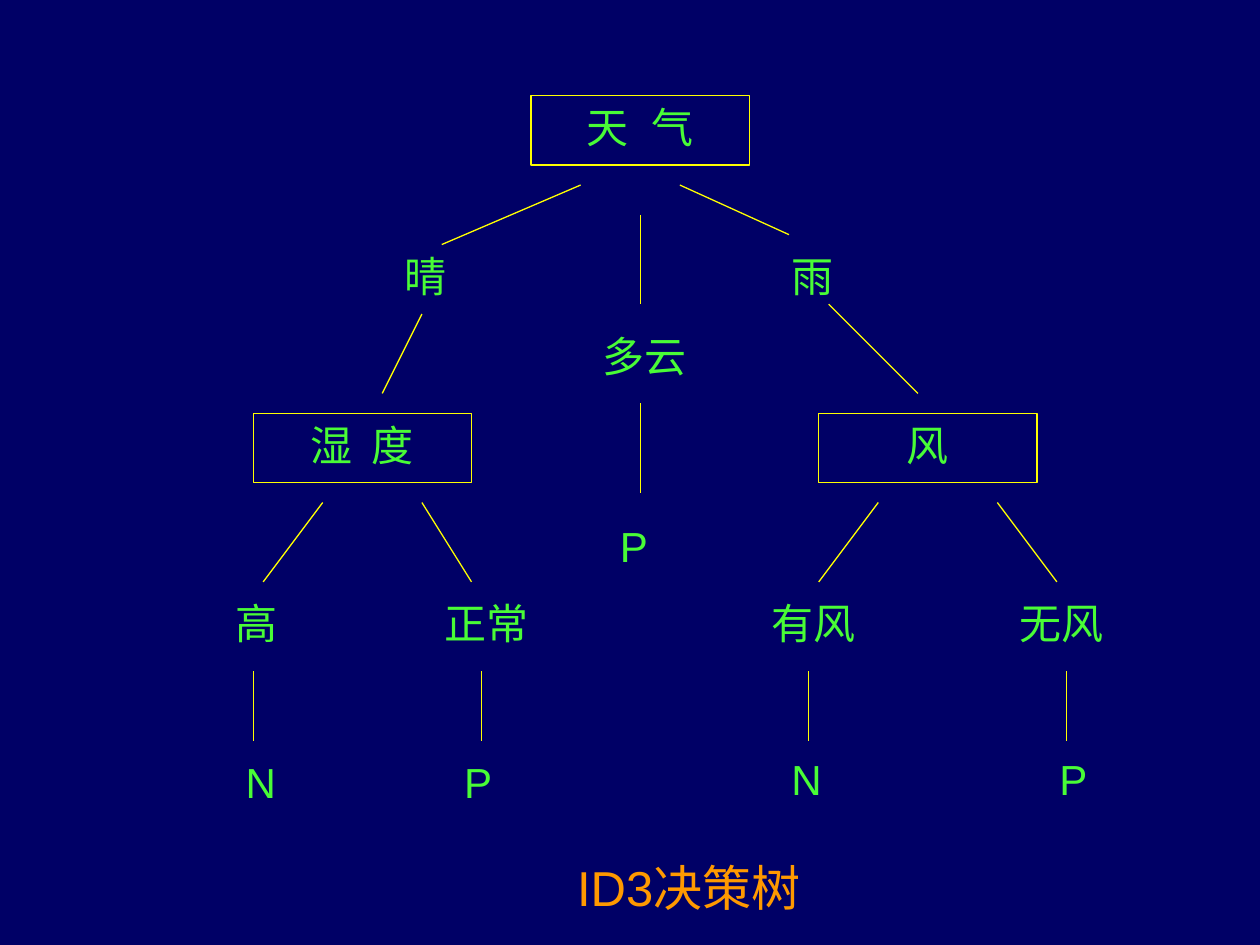
import pptx
import pptx.dml.color
import pptx.enum.shapes
import pptx.enum.text
import pptx.oxml.ns
import pptx.util
from lxml import etree

NAVY = pptx.dml.color.RGBColor(0x00, 0x00, 0x66)
YELLOW = pptx.dml.color.RGBColor(0xFF, 0xFF, 0x00)
GREEN = pptx.dml.color.RGBColor(0x49, 0xFC, 0x36)
ORANGE = pptx.dml.color.RGBColor(0xFF, 0x99, 0x00)

UNIT = pptx.util.Cm(0.2)
LEFT, TOP = pptx.util.Inches(2.01), pptx.util.Inches(0.76)
WIDE, HIGH = 22, 7
SANS, HAN = "Arial", "Noto Sans CJK SC"
LEAVES = {"N": 0.44, "P": 0.42}


def spot(col, row):
    """Turn a grid column and row into a slide position."""
    return round(LEFT + col * UNIT), round(TOP + row * UNIT)


def write(frame, text, size=24, color=GREEN, font=SANS):
    """Fill a text frame with one styled line."""
    frame.text = text
    para = frame.paragraphs[0]
    para.space_before = pptx.util.Pt(size / 10 if font == SANS else 0)
    run = para.runs[0]
    run.font.size = pptx.util.Pt(size)
    run.font.color.rgb = color
    run.font.name = font
    east = etree.SubElement(run.font._element, pptx.oxml.ns.qn("a:ea"))
    east.set("typeface", font)
    return para


def label(slide, text, col, row, wide=None, high=0.5, **style):
    """Place a line of text, as wide as its words unless told otherwise."""
    wide = wide or LEAVES.get(text, 0.2 + len(text) * 0.34)
    size = pptx.util.Inches(wide), pptx.util.Inches(high)
    box = slide.shapes.add_textbox(*spot(col, row), *size)
    box.text_frame.word_wrap = False
    write(box.text_frame, text, **style)


def link(slide, start, end):
    """Draw a thin line between two grid points."""
    kind = pptx.enum.shapes.MSO_CONNECTOR.STRAIGHT
    line = slide.shapes.add_connector(kind, *spot(*start), *spot(*end))
    line.line.color.rgb = YELLOW
    line.line.width = pptx.util.Pt(0.75)
    etree.SubElement(line._element.spPr, pptx.oxml.ns.qn("a:effectLst"))


def node(slide, text, col, row, font=SANS):
    """Draw a framed attribute of the tree."""
    kind = pptx.enum.shapes.MSO_SHAPE.RECTANGLE
    box = slide.shapes.add_shape(kind, *spot(col, row), WIDE * UNIT, HIGH * UNIT)
    box.shadow.inherit = False
    box.fill.background()
    box.line.color.rgb = YELLOW
    box.line.width = pptx.util.Pt(0.75)
    box.text_frame.word_wrap = True
    box.text_frame.vertical_anchor = pptx.enum.text.MSO_ANCHOR.TOP
    para = write(box.text_frame, text, font=font)
    para.alignment = pptx.enum.text.PP_ALIGN.CENTER


def crown(slide, col, row):
    """Draw the root attribute with its three outcomes."""
    node(slide, "天  气", col, row)
    for text, x, y in (("晴", -14, 15), ("多云", 6, 23),
                       ("雨", 25, 15), ("P", 7.7, 42.2)):
        label(slide, text, col + x, row + y)
    for x, y, end, foot in ((5, 9, -9, 15), (11, 12, 11, 21), (15, 9, 26, 14),
                            (-11, 22, -15, 30), (11, 31, 11, 40),
                            (30, 21, 39, 30)):
        link(slide, (col + x, row + y), (col + end, row + foot))


def test(slide, col, row, text, arms, base, font=SANS):
    """Draw a lower attribute with its outcomes and leaves."""
    node(slide, text, col, row, font)
    for word, leaf, start, end, left, stem, foot in arms:
        link(slide, (col + start, row + 9), (col + end, row + 17))
        label(slide, word, col + left, row + 18)
        link(slide, (col + stem, row + 26), (col + stem, row + 33))
        label(slide, leaf, col + foot, row + base)


def main():
    """Build and save the decision tree slide."""
    deck = pptx.Presentation()
    deck.slide_width = pptx.util.Inches(10)
    deck.slide_height = pptx.util.Inches(7.5)
    slide = deck.slides.add_slide(deck.slide_layouts[6])
    slide.background.fill.solid()
    slide.background.fill.fore_color.rgb = NAVY
    crown(slide, 28, 0)
    test(slide, 0, 32, "湿  度",
         (("高", "N", 7, 1, -3, 0, -2), ("正常", "P", 17, 22, 18, 23, 20)),
         34, HAN)
    test(slide, 57, 32, "风",
         (("有风", "N", 6, 0, -6, -1, -4), ("无风", "P", 18, 24, 19, 25, 23)),
         33.7)
    label(slide, "ID3决策树", 31.4, 76.2, 2.06, 0.57, size=28, color=ORANGE)
    deck.save("out.pptx")


if __name__ == "__main__":
    main()
